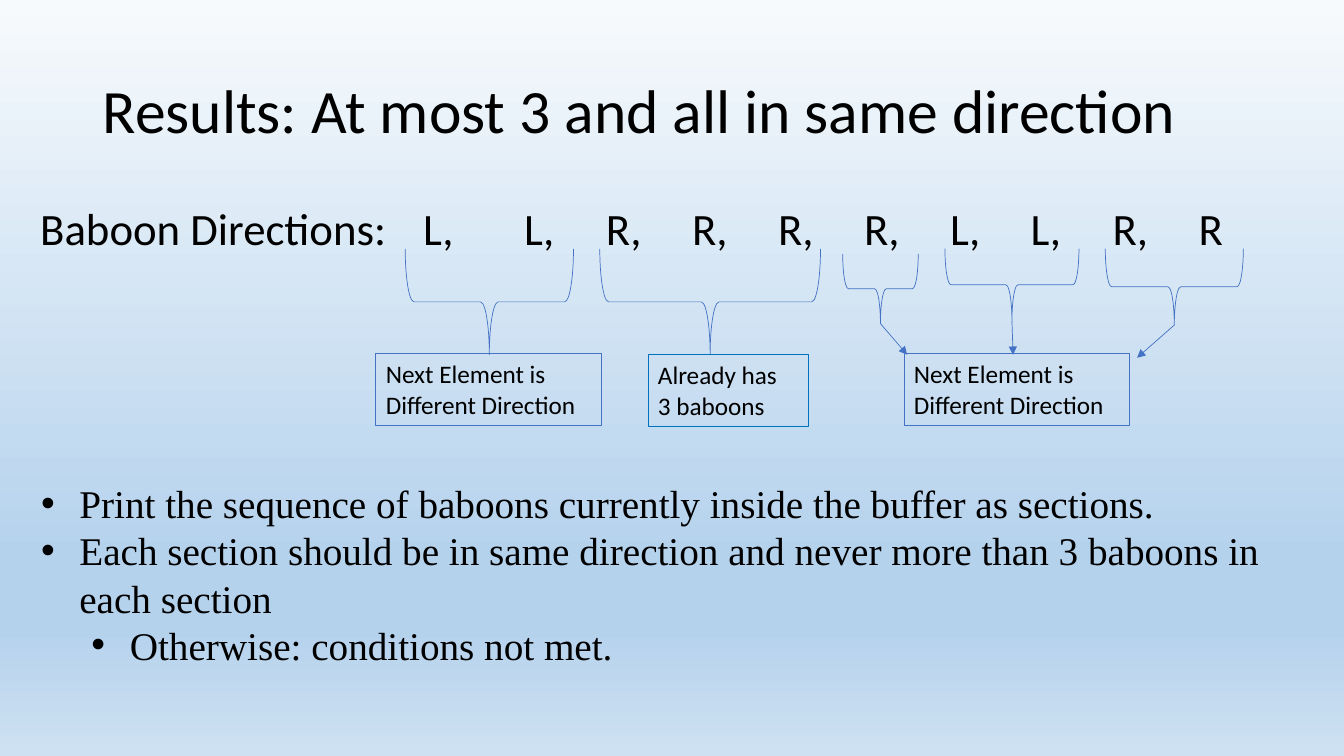
from copy import deepcopy

from pptx import Presentation
from pptx import util as u
from pptx.dml import color
from pptx.enum import shapes, text
from pptx.oxml import ns, xmlchemy

HUES = {"ink": "000000", "line": "4472C4", "edge": "0070C0",
        "top": "F7FAFD", "mid": "B5D2EC", "low": "CEE1F2"}
SANS = {"name": "Calibri"}
SERIF = {"name": "Times New Roman", "size": u.Pt(28)}


def rgb(hue):
    return color.RGBColor.from_string(HUES[hue])


def assign(item, values):
    for key, value in values.items():
        setattr(item, key, value)


def add(parent, tag, **values):
    node = xmlchemy.OxmlElement(tag)
    for key, value in values.items():
        node.set(key, str(value))
    parent.append(node)
    return node


class Deck:
    def __init__(self):
        self.show = Presentation()
        assign(self.show, {"slide_width": u.Inches(13.33), "slide_height": u.Inches(7.5)})
        self.slide = self.show.slides.add_slide(self.show.slide_layouts[6])
        self.items = self.slide.shapes

    def wide(self, share):
        return round(self.show.slide_width * share / 100)

    def high(self, share):
        return round(self.show.slide_height * share / 100)

    def place(self, left, top, width, height):
        return self.wide(left), self.high(top), self.wide(width), self.high(height)

    def backdrop(self, stops):
        fill = self.slide.background.fill
        fill.gradient()
        fill.gradient_angle = 270
        ramp = self.slide.element.find(".//" + ns.qn("a:gsLst"))
        while len(ramp) < len(stops):
            ramp.append(deepcopy(ramp[0]))
        for stop, (spot, hue) in zip(fill.gradient_stops, stops):
            stop.position = spot
            stop.color.rgb = rgb(hue)

    def letter(self, shape, lines, font, frame=None, para=None):
        body = shape.text_frame
        assign(body, {"word_wrap": True, "vertical_anchor": text.MSO_ANCHOR.TOP, **(frame or {})})
        paras = []
        for i, line in enumerate(lines):
            item = body.paragraphs[0] if i == 0 else body.add_paragraph()
            assign(item, {"alignment": text.PP_ALIGN.LEFT, **(para or {})})
            run = item.add_run()
            run.text = line
            assign(run.font, font)
            run.font.color.rgb = rgb("ink")
            paras.append(item)
        return paras

    def label(self, area, lines, font, frame=None, para=None):
        return self.letter(self.items.add_textbox(*self.place(*area)), lines, font, frame, para)

    def tabs(self, item, stops):
        stop_list = add(item._p.get_or_add_pPr(), "a:tabLst")
        for stop in stops:
            add(stop_list, "a:tab", pos=self.wide(stop), algn="l")

    def bullets(self, area, rows):
        paras = self.label(area, [line for line, level in rows], SERIF)
        for item, (line, level) in zip(paras, rows):
            item.level = level
            props = item._p.get_or_add_pPr()
            props.set("marL", str(u.Inches(0.38 + level * 0.5)))
            props.set("indent", str(-u.Inches(0.38)))
            add(props, "a:buFont", typeface="Arial")
            add(props, "a:buChar", char="•")

    def outline(self, kind, area, hue, weight):
        shape = self.items.add_shape(kind, *area)
        shape.shadow.inherit = False
        shape.fill.background()
        shape.line.color.rgb = rgb(hue)
        shape.line.width = u.Pt(weight)
        return shape

    def box(self, area, words, hue):
        shape = self.outline(shapes.MSO_SHAPE.RECTANGLE, self.place(*area), hue, 0.75)
        self.letter(shape, [words], {**SANS, "size": u.Pt(18)})

    def brace(self, left, top, span, depth):
        x, y, w, h = self.place(left, top, span, depth)
        area = x + (w - h) // 2, y + (h - w) // 2, h, w
        shape = self.outline(shapes.MSO_SHAPE.LEFT_BRACE, area, "line", 0.5)
        shape.rotation = 270
        return left + span / 2, top + depth

    def arrow(self, start, end):
        ends = [f(v) for point in (start, end) for f, v in zip((self.wide, self.high), point)]
        line = self.items.add_connector(shapes.MSO_CONNECTOR.STRAIGHT, *ends)
        line.line.color.rgb = rgb("line")
        line.line.width = u.Pt(0.5)
        add(line.line._get_or_add_ln(), "a:tailEnd", type="triangle")
        add(line._element.spPr, "a:effectLst")


def main():
    deck = Deck()
    deck.backdrop([(0, "top"), (0.74, "mid"), (0.83, "mid"), (1, "low")])
    deck.label((6.9, 5.33, 86.25, 19.33), ["Results: At most 3 and all in same direction"],
               {**SANS, "size": u.Pt(44)}, {"vertical_anchor": text.MSO_ANCHOR.MIDDLE},
               {"line_spacing": 0.9})

    moves = ",\t".join("LLRRRRLLRR")
    row, = deck.label((2.25, 26.67, 90.83, 8.13), ["Baboon Directions:\t" + moves],
                      {**SANS, "size": u.Pt(32)},
                      para={"line_spacing": 0.9, "space_before": u.Pt(10)})
    deck.tabs(row, [28.5, 36, 42.1, 48.5, 54.9, 61.3, 67.7, 73.7, 79.8, 86.2])

    for left, span in ((30.15, 12.52), (44.63, 16.42)):
        deck.brace(left, 32.93, span, 14)

    turn = "Next Element is Different Direction"
    deck.box((48.22, 46.93, 11.92, 9.47), "Already has 3" + chr(160) + "baboons", "edge")
    for left in (67.27, 27.97):
        deck.box((left, 46.8, 16.8, 9.47), turn, "line")

    for area, end in (((62.7, 33.6, 5.62, 9.2), (67.5, 46.93)),
                      ((70.31, 32.87, 9.97, 9.6), (75.38, 46.93)),
                      ((82.24, 32.87, 10.27, 10.13), (84.6, 47.33))):
        deck.arrow(deck.brace(*area), end)

    deck.bullets((2.32, 62.8, 95.25, 26.53), [
        ("Print the sequence of baboons currently inside the buffer as sections.", 0),
        ("Each section should be in same direction and never more than 3 baboons in each section", 0),
        ("Otherwise: conditions not met.", 1)])
    deck.show.save("out.pptx")


if __name__ == "__main__":
    main()
